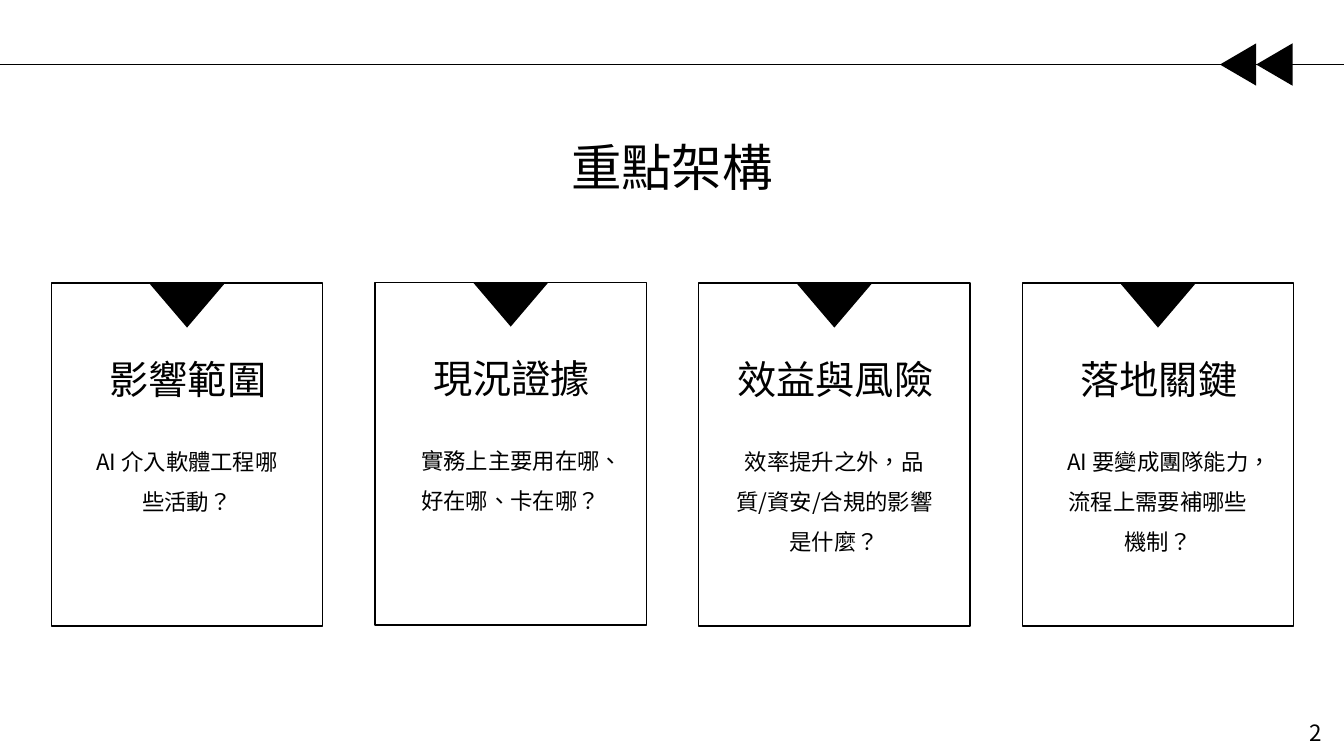
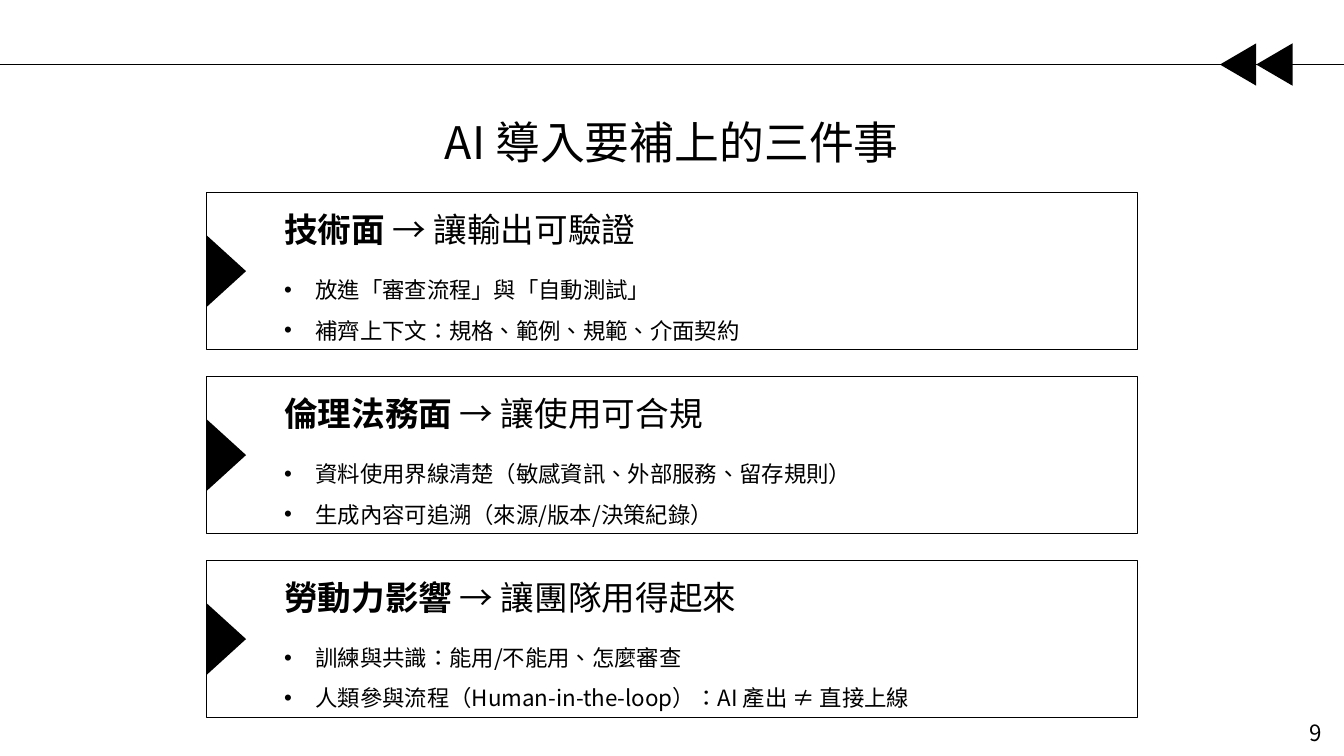
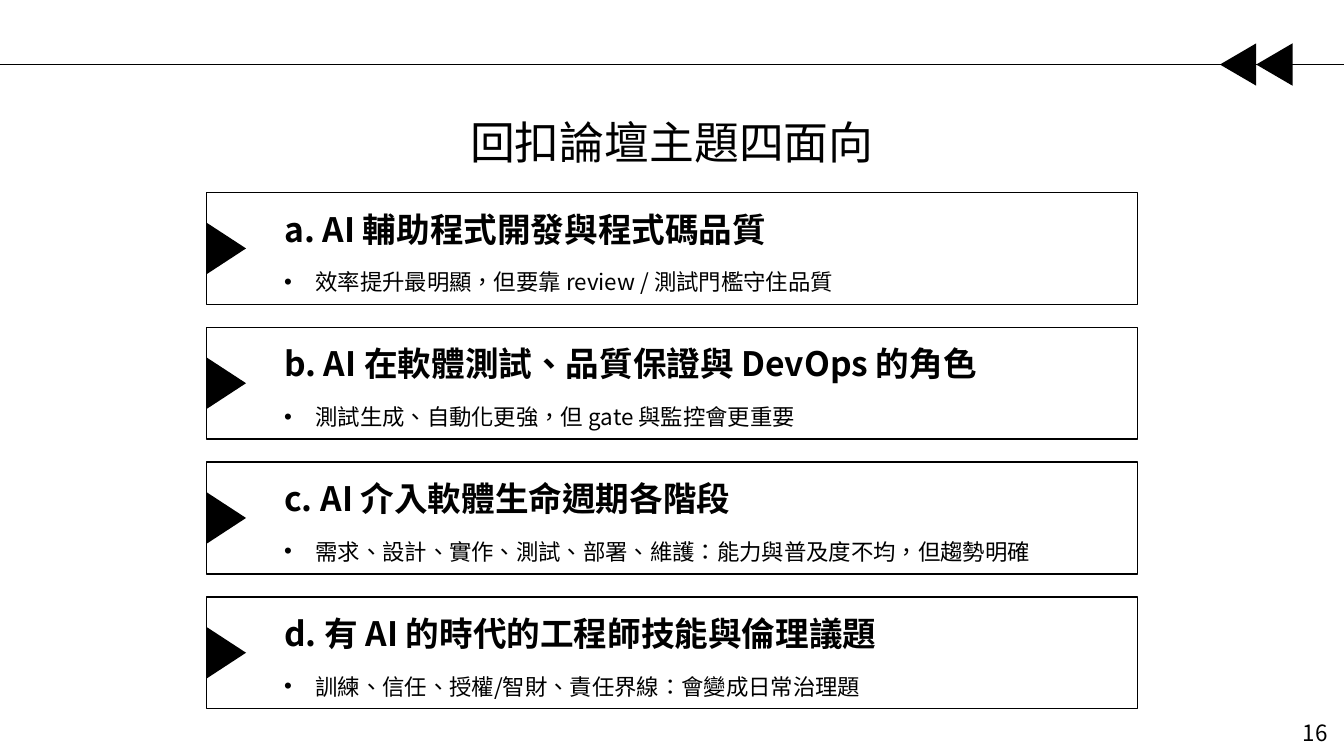
from dataclasses import dataclass

import lxml.etree
import pptx
import pptx.dml.color
import pptx.enum.shapes
import pptx.enum.text
import pptx.oxml.ns
import pptx.presentation
import pptx.shapes.autoshape
import pptx.slide
import pptx.text.text
import pptx.util

Inches = pptx.util.Inches
Pt = pptx.util.Pt
Shape = pptx.enum.shapes.MSO_SHAPE
Align = pptx.enum.text.PP_ALIGN
qn = pptx.oxml.ns.qn

COLORS = {"ink": "000000", "paper": "FFFFFF"}
FONT = "Noto Sans CJK SC"
SLIDE_W, SLIDE_H = 13.33, 7.5
CARD_LEFT, CARD_PITCH, CARD_W, CARD_H = 0.51, 3.21, 2.69, 3.4
PANEL_LEFT, PANEL_TOP, PANEL_W = 2.05, 1.91, 9.23
PANEL_TEXT_LEFT, PANEL_TEXT_W = 2.72, 8.28
MARKER_DEPTH = 0.39
BULLET_INDENT = 0.31


@dataclass
class Card:
    heading: str
    body: str
    body_h: float
    top: float = 2.81


@dataclass
class Panel:
    lead: str
    rest: str
    bullets: list[str]


@dataclass
class PanelLayout:
    pitch: float
    height: float
    marker_w: float
    heading_w: float
    body_offset: float
    body_h: float


CARDS = [
    Card("影響範圍", "AI 介入軟體工程哪些活動？", 0.86),
    Card("現況證據", "實務上主要用在哪、好在哪、卡在哪？", 0.86, 2.8),
    Card("效益與風險", "效率提升之外，品質/資安/合規的影響是什麼？", 1.27),
    Card("落地關鍵", "AI 要變成團隊能力，流程上需要補哪些機制？", 1.27),
]

ACTIONS = [
    Panel("技術面 ", "→ 讓輸出可驗證",
          ["放進「審查流程」與「自動測試」", "補齊上下文：規格、範例、規範、介面契約"]),
    Panel("倫理法務面 ", "→ 讓使用可合規",
          ["資料使用界線清楚（敏感資訊、外部服務、留存規則）",
           "生成內容可追溯（來源/版本/決策紀錄）"]),
    Panel("勞動力影響 ", "→ 讓團隊用得起來",
          ["訓練與共識：能用/不能用、怎麼審查",
           "人類參與流程（Human-in-the-loop）：AI 產出 ≠ 直接上線"]),
]

THEMES = [
    Panel("a. AI 輔助程式開發與程式碼品質", "",
          ["效率提升最明顯，但要靠 review / 測試門檻守住品質"]),
    Panel("b. AI 在軟體測試、品質保證與 DevOps 的角色", "",
          ["測試生成、自動化更強，但 gate 與監控會更重要"]),
    Panel("c. AI 介入軟體生命週期各階段", "",
          ["需求、設計、實作、測試、部署、維護：能力與普及度不均，但趨勢明確"]),
    Panel("d. 有 AI 的時代的工程師技能與倫理議題", "",
          ["訓練、信任、授權/智財、責任界線：會變成日常治理題"]),
]

ACTION_LAYOUT = PanelLayout(1.825, 1.56, 0.71, 7.12, 0.65, 0.86)
THEME_LAYOUT = PanelLayout(1.337, 1.11, 0.51, PANEL_TEXT_W, 0.57, 0.46)


def rgb(name: str) -> pptx.dml.color.RGBColor:
    return pptx.dml.color.RGBColor.from_string(COLORS[name])


def style_run(r: pptx.text.text._Run, size: float, bold: bool = False) -> None:
    r.font.size = Pt(size)
    r.font.bold = bold
    r.font.name = FONT
    r.font.color.rgb = rgb("ink")
    props = r._r.get_or_add_rPr()
    props.set("lang", "zh-TW")
    lxml.etree.SubElement(props, qn("a:ea")).set("typeface", FONT)


def add_bullet(p: pptx.text.text._Paragraph) -> None:
    props = p._p.get_or_add_pPr()
    props.set("marL", str(Inches(BULLET_INDENT)))
    props.set("indent", str(-Inches(BULLET_INDENT)))
    lxml.etree.SubElement(props, qn("a:buFont")).set("typeface", "Arial")
    lxml.etree.SubElement(props, qn("a:buChar")).set("char", "•")


def add_text(s: pptx.slide.Slide, left: float, top: float, width: float, height: float,
             lines: list[str], size: float, align: Align = Align.LEFT,
             spacing: float = 1.0, bold: bool = False,
             bullets: bool = False) -> pptx.text.text.TextFrame:
    box = s.shapes.add_textbox(Inches(left), Inches(top), Inches(width), Inches(height))
    tf = box.text_frame
    tf.word_wrap = True
    tf.auto_size = pptx.enum.text.MSO_AUTO_SIZE.SHAPE_TO_FIT_TEXT
    tf.text = "\n".join(lines)
    for p in tf.paragraphs:
        if bullets:
            add_bullet(p)
        p.alignment = align
        p.line_spacing = spacing
        for r in p.runs:
            style_run(r, size, bold)
    return tf


def add_triangle(s: pptx.slide.Slide, center_x: float, center_y: float,
                 width: float, height: float, rotation: float) -> None:
    sp = s.shapes.add_shape(Shape.ISOSCELES_TRIANGLE,
                            Inches(center_x - width / 2), Inches(center_y - height / 2),
                            Inches(width), Inches(height))
    sp.rotation = rotation
    sp.shadow.inherit = False
    sp.fill.solid()
    sp.fill.fore_color.rgb = rgb("ink")
    sp.line.fill.background()


def add_frame(s: pptx.slide.Slide, left: float, top: float,
              width: float, height: float) -> None:
    sp = s.shapes.add_shape(Shape.RECTANGLE, Inches(left), Inches(top),
                            Inches(width), Inches(height))
    sp.shadow.inherit = False
    sp.fill.background()
    sp.line.color.rgb = rgb("ink")
    sp.line.width = Pt(1)


def add_header(s: pptx.slide.Slide) -> None:
    y = 0.64
    rule = s.shapes.add_connector(pptx.enum.shapes.MSO_CONNECTOR.STRAIGHT,
                                  0, Inches(y), Inches(SLIDE_W), Inches(y))
    rule.line.color.rgb = rgb("ink")
    rule.line.width = Pt(0.5)
    lxml.etree.SubElement(rule._element.spPr, qn("a:effectLst"))
    for center_x in (12.64, 12.28):
        add_triangle(s, center_x, y, 0.42, 0.36, 270)


def new_slide(prs: pptx.presentation.Presentation, title: str, title_top: float,
              title_size: float, number: int) -> pptx.slide.Slide:
    s = prs.slides.add_slide(prs.slide_layouts[6])
    s.background.fill.solid()
    s.background.fill.fore_color.rgb = rgb("paper")
    add_header(s)
    add_text(s, 2.81, title_top, 7.71, title_size / 50, [title], title_size, Align.CENTER)
    add_text(s, 12.81, 6.95, 0.47, 0.46, [str(number)], 16, Align.CENTER, 1.5)
    return s


def add_card(s: pptx.slide.Slide, card: Card, left: float) -> None:
    add_frame(s, left, card.top, CARD_W, CARD_H)
    add_triangle(s, left + CARD_W / 2, card.top + 0.22, 0.75, 0.44, 180)
    add_text(s, left + 0.02, card.top + 0.67, 2.67, 0.57, [card.heading], 28, Align.CENTER)
    add_text(s, left + 0.25, card.top + 1.45, 2.19, card.body_h, [card.body], 16,
             Align.CENTER, 1.5)


def add_panel(s: pptx.slide.Slide, panel: Panel, layout: PanelLayout, top: float) -> None:
    add_frame(s, PANEL_LEFT, top, PANEL_W, layout.height)
    add_triangle(s, PANEL_LEFT + MARKER_DEPTH / 2, top + layout.height / 2,
                 layout.marker_w, MARKER_DEPTH, 90)
    tf = add_text(s, PANEL_TEXT_LEFT, top + 0.11, layout.heading_w, 0.5,
                  [panel.lead], 24, bold=True)
    p = tf.paragraphs[0]
    p.space_after = Pt(6)
    if panel.rest:
        r = p.add_run()
        r.text = panel.rest
        style_run(r, 24)
    add_text(s, PANEL_TEXT_LEFT, top + layout.body_offset, PANEL_TEXT_W, layout.body_h,
             panel.bullets, 16, spacing=1.5, bullets=True)


def add_panels(s: pptx.slide.Slide, panels: list[Panel], layout: PanelLayout) -> None:
    for i, panel in enumerate(panels):
        add_panel(s, panel, layout, PANEL_TOP + i * layout.pitch)


def main() -> None:
    prs = pptx.Presentation()
    prs.slide_width = Inches(SLIDE_W)
    prs.slide_height = Inches(SLIDE_H)

    s = new_slide(prs, "重點架構", 1.3, 36, 2)
    for i, card in enumerate(CARDS):
        add_card(s, card, CARD_LEFT + i * CARD_PITCH)

    s = new_slide(prs, "AI 導入要補上的三件事", 1.09, 32, 9)
    add_panels(s, ACTIONS, ACTION_LAYOUT)

    s = new_slide(prs, "回扣論壇主題四面向", 1.09, 32, 16)
    add_panels(s, THEMES, THEME_LAYOUT)

    prs.save("out.pptx")


if __name__ == "__main__":
    main()
